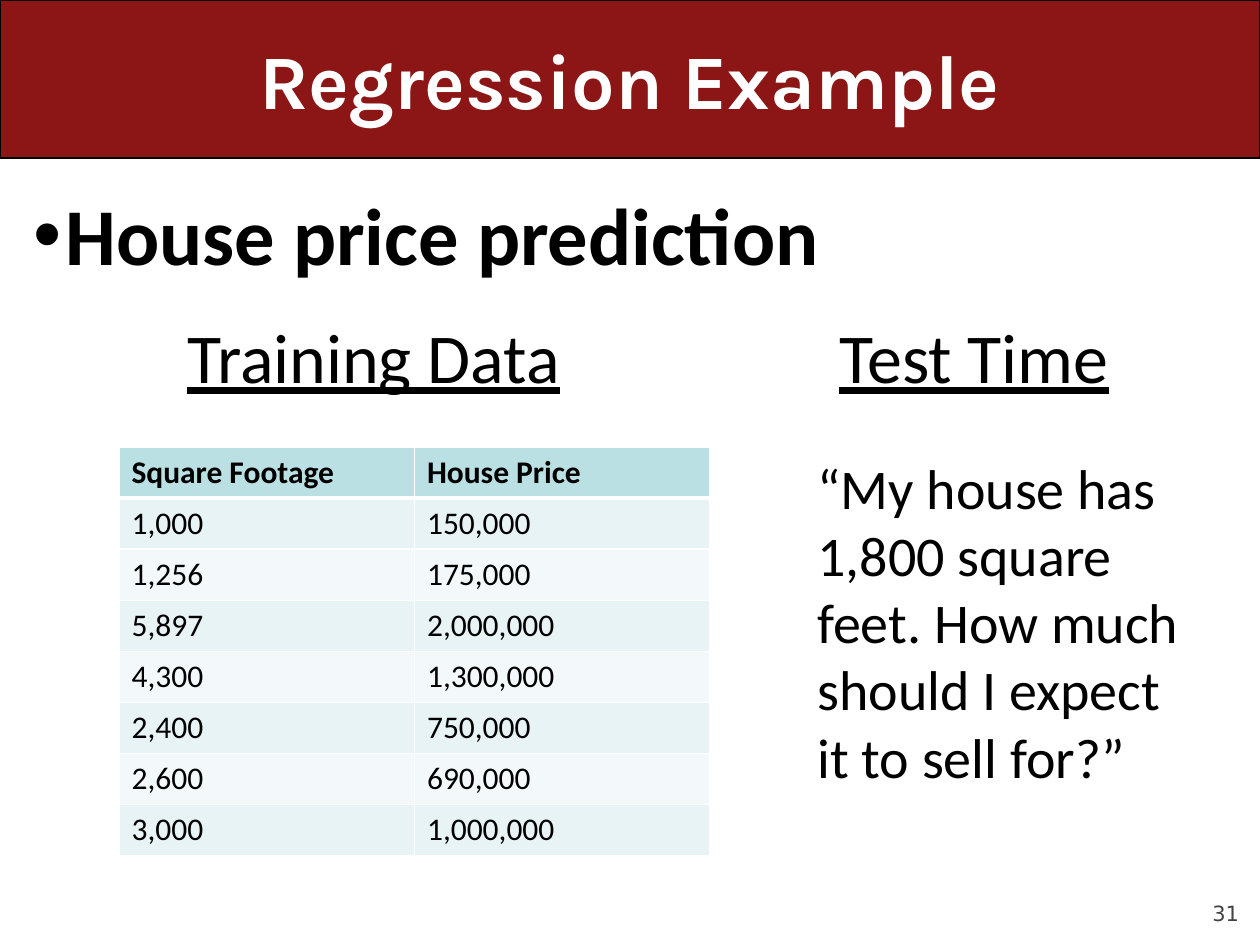
from dataclasses import dataclass

from lxml.etree import SubElement
from pptx import Presentation
from pptx.dml.color import RGBColor as RGB
from pptx.enum.shapes import MSO_SHAPE as Shape
from pptx.enum.text import MSO_ANCHOR as Anchor, PP_ALIGN as Align
from pptx.oxml.ns import qn
from pptx.util import Emu, Pt

SCALE = 914400 / 126

BLACK = RGB(0x00, 0x00, 0x00)
WHITE = RGB(0xFF, 0xFF, 0xFF)
GREY = RGB(0x42, 0x42, 0x42)
RED = RGB(0x8C, 0x15, 0x15)
HEAD = RGB(0xBB, 0xE0, 0xE3)
BANDS = (RGB(0xF3, 0xF9, 0xFA), RGB(0xE7, 0xF3, 0xF4))

ROWS = (
    ("Square Footage", "House Price"),
    ("1,000", "150,000"),
    ("1,256", "175,000"),
    ("5,897", "2,000,000"),
    ("4,300", "1,300,000"),
    ("2,400", "750,000"),
    ("2,600", "690,000"),
    ("3,000", "1,000,000"),
)


@dataclass(frozen=True)
class Label:
    text: str
    box: tuple[int, int, int, int]
    size: int
    font: str = "Calibri"
    color: RGB = BLACK
    bold: bool = False
    line: bool = False
    align: Align = Align.LEFT
    anchor: Anchor = Anchor.TOP
    inset: bool = True
    bullet: bool = False


LABELS = (
    Label("31", (1134, 876, 105, 50), 12, "DejaVu Sans", GREY,
          align=Align.RIGHT, anchor=Anchor.BOTTOM, inset=False),
    Label("Regression Example", (63, 0, 1134, 158), 44, "Karla", WHITE,
          bold=True, align=Align.CENTER, anchor=Anchor.MIDDLE),
    Label("House price prediction", (21, 179, 1218, 766), 46, bold=True,
          bullet=True),
    Label("Training Data", (175, 307, 437, 97), 40, line=True),
    Label("Test Time", (827, 307, 437, 97), 40, line=True),
    Label("“My house has 1,800 square feet. How much should I expect "
          "it to sell for?”", (805, 447, 399, 352), 32),
)


def px(num: int) -> Emu:
    return Emu(round(num * SCALE))


def add_bullet(para, indent: int) -> None:
    props = para._p.get_or_add_pPr()
    props.set("marL", str(px(indent)))
    props.set("indent", str(-px(indent)))
    SubElement(props, qn("a:buFont"), typeface="Arial")
    SubElement(props, qn("a:buChar"), char="•")


def add_label(slide, item: Label) -> None:
    frame = slide.shapes.add_textbox(*map(px, item.box)).text_frame
    frame.word_wrap = True
    frame.vertical_anchor = item.anchor
    if not item.inset:
        frame.margin_left = frame.margin_right = 0
        frame.margin_top = frame.margin_bottom = 0
    para = frame.paragraphs[0]
    para.text = item.text
    para.alignment = item.align
    if item.bullet:
        add_bullet(para, 32)
    font = para.font
    font.name, font.size = item.font, Pt(item.size)
    font.bold, font.underline = item.bold, item.line
    font.color.rgb = item.color


def add_banner(slide) -> None:
    bar = slide.shapes.add_shape(Shape.ROUNDED_RECTANGLE, 0, 0,
                                 px(1260), px(158))
    bar.adjustments[0] = 0
    bar.shadow.inherit = False
    bar.fill.solid()
    bar.fill.fore_color.rgb = RED
    bar.line.color.rgb = BLACK
    bar.line.width = Pt(0.75)


def add_edges(cell, low: int) -> None:
    """Draw white cell borders, the lower one `low` points wide."""
    props = cell._tc.get_or_add_tcPr()
    for side, width in (("L", 1), ("R", 1), ("T", 1), ("B", low)):
        edge = SubElement(props, qn(f"a:ln{side}"), w=str(Pt(width)))
        fill = SubElement(edge, qn("a:solidFill"))
        SubElement(fill, qn("a:srgbClr"), val=str(WHITE))


def add_prices(slide) -> None:
    table = slide.shapes.add_table(len(ROWS), len(ROWS[0]), px(119), px(447),
                                   px(591), px(408)).table
    for row, texts in enumerate(ROWS):
        for col, text in enumerate(texts):
            cell = table.cell(row, col)
            # Header's thick rule is shared with the top of the next row.
            add_edges(cell, 3 if row == 0 else 1)
            cell.fill.solid()
            cell.fill.fore_color.rgb = BANDS[row % 2] if row else HEAD
            para = cell.text_frame.paragraphs[0]
            para.text = text
            font = para.font
            font.name, font.size = "Calibri", Pt(18)
            font.bold = row == 0
            font.color.rgb = BLACK


def main() -> None:
    deck = Presentation()
    deck.slide_width, deck.slide_height = px(1260), px(945)
    slide = deck.slides.add_slide(deck.slide_layouts[6])
    add_banner(slide)
    add_prices(slide)
    for item in LABELS:
        add_label(slide, item)
    deck.save("out.pptx")


if __name__ == "__main__":
    main()
